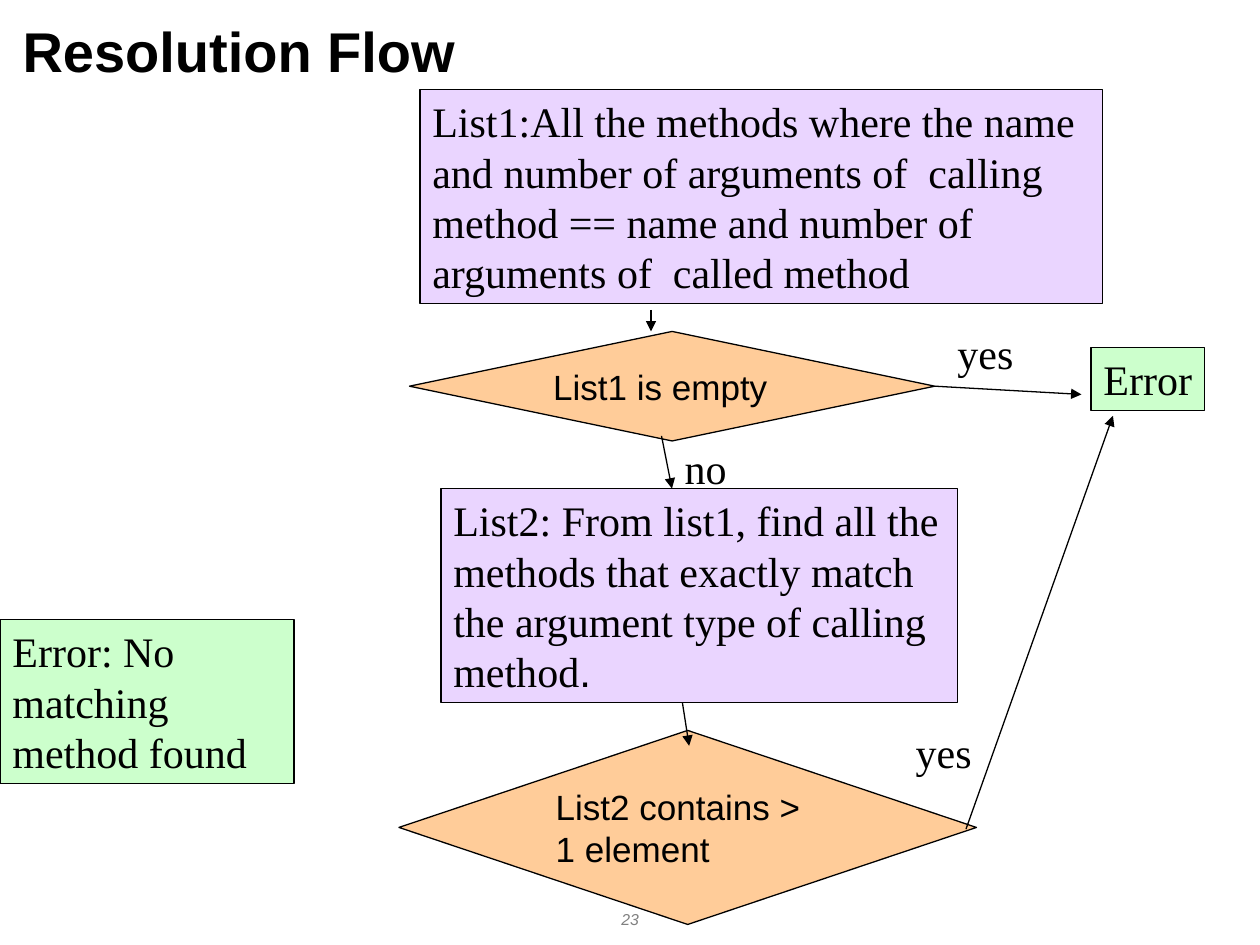
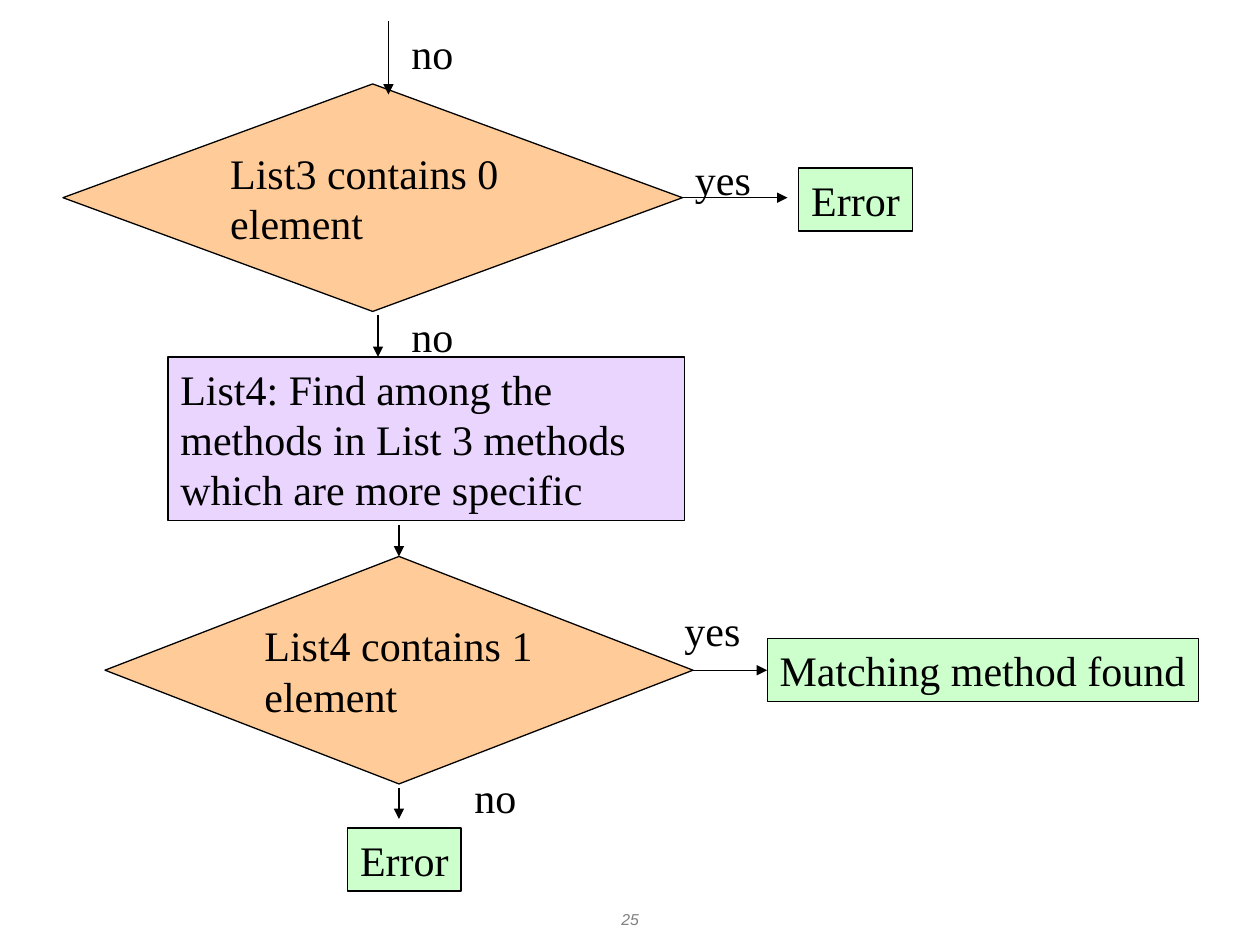
from lxml import etree
from pptx import Presentation
from pptx.dml.color import RGBColor
from pptx.enum.shapes import MSO_CONNECTOR, MSO_SHAPE
from pptx.enum.text import MSO_ANCHOR, PP_ALIGN
from pptx.oxml.ns import qn
from pptx.util import Pt

BLACK = RGBColor(0x00, 0x00, 0x00)
GRAY = RGBColor(0x80, 0x80, 0x80)
ORANGE = RGBColor(0xFF, 0xCC, 0x99)
LILAC = RGBColor(0xEA, 0xD5, 0xFF)
GREEN = RGBColor(0xCC, 0xFF, 0xCC)
SERIF, SANS = "Times New Roman", "Arial"
RECTANGLE, DECISION = MSO_SHAPE.RECTANGLE, MSO_SHAPE.FLOWCHART_DECISION
STRAIGHT = MSO_CONNECTOR.STRAIGHT
TOP, MIDDLE = MSO_ANCHOR.TOP, MSO_ANCHOR.MIDDLE
LEFT, CENTER = PP_ALIGN.LEFT, PP_ALIGN.CENTER
TOP_SITE, LEFT_SITE, RIGHT_SITE = 0, 1, 3

LINE_HEIGHT = 36
YES_WIDTH, NO_WIDTH, ERROR_WIDTH = 48, 39, 64.8
STEP_WIDTH = 295.2


def add_box(page, text, bounds, fill=None, shape=RECTANGLE, font=SERIF, size=24):
    bounds = [Pt(length) for length in bounds]
    if fill is None:
        box = page.shapes.add_textbox(*bounds)
    else:
        box = page.shapes.add_shape(shape, *bounds)
        box.shadow.inherit = False
        box.fill.solid()
        box.fill.fore_color.rgb = fill
        box.line.color.rgb = BLACK
        box.line.width = Pt(0.75)
    frame = box.text_frame
    frame.text = text
    frame.word_wrap = bounds[3] != Pt(LINE_HEIGHT)
    frame.vertical_anchor = MIDDLE if shape == DECISION else TOP
    para = frame.paragraphs[0]
    para.alignment = LEFT
    span = para.runs[0]
    span.font.name = font
    span.font.size = Pt(size)
    span.font.color.rgb = BLACK
    return box


def add_arrow(page, start, end):
    arrow = page.shapes.add_connector(STRAIGHT, *[Pt(length) for length in (*start, *end)])
    arrow.line.color.rgb = BLACK
    arrow.line.width = Pt(0.75)
    properties = arrow._element.spPr
    etree.SubElement(properties.find(qn("a:ln")), qn("a:tailEnd"), type="triangle")
    etree.SubElement(properties, qn("a:effectLst"))
    return arrow


deck = Presentation()
deck.slide_width = Pt(720)
deck.slide_height = Pt(540)
pages = []
for number in ("23", "25"):
    page = deck.slides.add_slide(deck.slide_layouts[6])
    pages.append(page)
    footer = add_box(page, number, (276, 516.2, 168, 18.7), font=SANS, size=9)
    para = footer.text_frame.paragraphs[0]
    para.alignment = CENTER
    para.runs[0].font.italic = True
    para.runs[0].font.color.rgb = GRAY

start_page, end_page = pages

title = add_box(start_page, "Resolution Flow", (5.8, 5.8, 324, 46.1), font=SANS, size=32)
title.text_frame.paragraphs[0].runs[0].font.bold = True

list1_empty = add_box(start_page, "List1 is empty", (234, 189.4, 300.2, 62.6),
                      ORANGE, DECISION, SANS, 20)
add_box(start_page, "List1:All the methods where the name and number of arguments of  calling "
        "method == name and number of arguments of  called method",
        (240, 51.2, 390, 122.4), LILAC)
add_box(start_page, "List2 contains > 1 element", (228, 417.4, 330, 110.9),
        ORANGE, DECISION, SANS, 20)
list2 = add_box(start_page, "List2: From list1, find all the methods that exactly match "
                "the argument type of calling method",
                (252, 279.2, STEP_WIDTH, 122.4), LILAC)
period = list2.text_frame.paragraphs[0].add_run()
period.text = "."
period.font.name = SANS
period.font.size = Pt(24)
period.font.color.rgb = BLACK
add_box(start_page, "Error: No matching method found", (0, 354.2, 168, 93.6), GREEN)

list3_empty = add_box(end_page, "List3 contains 0 element", (36, 48, 354, 130),
                      ORANGE, DECISION)
add_box(end_page, "List4: Find among the methods in List 3 methods which are more specific",
        (96, 204, STEP_WIDTH, 93.6), LILAC)
list4_single = add_box(end_page, "List4 contains 1 element", (60, 318, 336, 130),
                       ORANGE, DECISION)
match_found = add_box(end_page, "Matching method found", (438.4, 365, 246.4, LINE_HEIGHT), GREEN)

for page, left, top in ((start_page, 623.5, 198.7), (end_page, 456.5, 96),
                        (end_page, 198.7, 473.2)):
    add_box(page, "Error", (left, top, ERROR_WIDTH, LINE_HEIGHT), GREEN)

for page, answer, width, corners in (
    (start_page, "yes", YES_WIDTH, ((540, 183.6), (516.2, 411.4))),
    (start_page, "no", NO_WIDTH, ((384.2, 249.1),)),
    (end_page, "yes", YES_WIDTH, ((390, 84.2), (384, 342))),
    (end_page, "no", NO_WIDTH, ((228, 12.2), (228, 174.2), (264, 437.2))),
):
    for left, top in corners:
        add_box(page, answer, (left, top, width, LINE_HEIGHT))

for page, start, end in (
    (start_page, (372, 177.1), (372, 189.4)),
    (start_page, (378, 249.1), (384, 279.2)),
    (start_page, (390, 401.8), (393.8, 426.2)),
    (start_page, (552, 473.8), (636, 237.6)),
    (end_page, (222, 12), (222, 54)),
    (end_page, (216, 180), (216, 204)),
    (end_page, (228, 450), (228, 468)),
):
    add_arrow(page, start, end)

for page, decision, start, end in (
    (start_page, list1_empty, (534.2, 220.7), (618, 225.4)),
    (end_page, list3_empty, (390, 113), (450, 113)),
):
    add_arrow(page, start, end).begin_connect(decision, RIGHT_SITE)

into_list4 = add_arrow(end_page, (228, 300), (228, 318))
into_list4.end_connect(list4_single, TOP_SITE)
to_match = add_arrow(end_page, (396, 383), (438.4, 383))
to_match.begin_connect(list4_single, RIGHT_SITE)
to_match.end_connect(match_found, LEFT_SITE)

deck.save("out.pptx")
